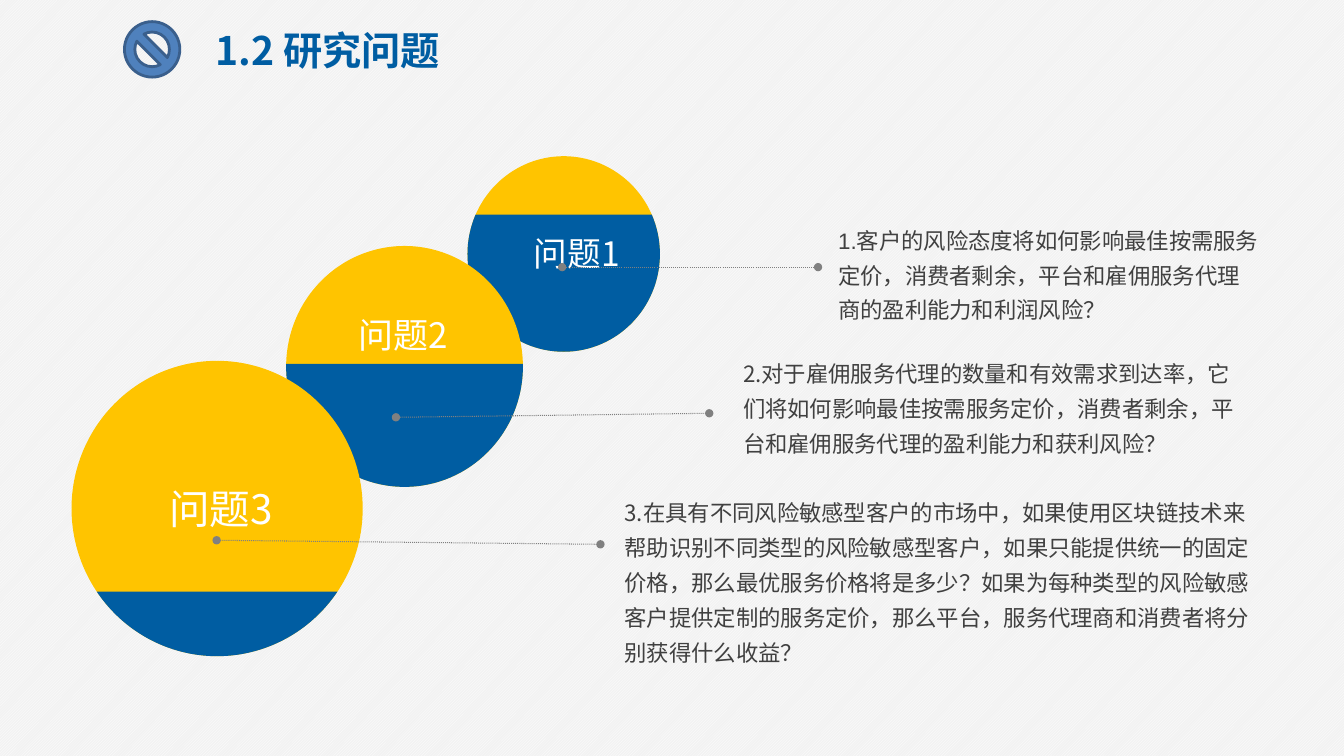
from itertools import pairwise
from math import asin, cos, pi, sin, tan

from lxml.etree import SubElement
from pptx import Presentation
from pptx.dml.color import RGBColor
from pptx.enum.dml import MSO_LINE, MSO_PATTERN
from pptx.enum.shapes import MSO_CONNECTOR, MSO_SHAPE
from pptx.enum.text import MSO_ANCHOR, PP_ALIGN
from pptx.oxml.ns import qn
from pptx.util import Inches, Pt

# The slide is a grid of 133.4 columns by 75 rows of square cells.
CELL = Inches(0.1)
COLUMNS, ROWS = 133.4, 75
YELLOW, BLUE, WHITE, GREY, INK = "FFC400", "005DA2", "FFFFFF", "808080", "404040"
CJK = "Noto Sans CJK SC"


def color(hex_code):
    return RGBColor.from_string(hex_code)


def add_text(area, text, size, hex_code, font=CJK, bold=False, spacing=None,
             align=PP_ALIGN.LEFT, anchor=MSO_ANCHOR.TOP, inset=1.1):
    """Put one wrapped paragraph in an area given in grid cells."""
    frame = slide.shapes.add_textbox(*(int(n * CELL) for n in area)).text_frame
    frame.word_wrap = True
    frame.vertical_anchor = anchor
    frame.margin_left = frame.margin_right = int(inset * CELL)
    paragraph = frame.paragraphs[0]
    paragraph.alignment = align
    paragraph.line_spacing = spacing
    run = paragraph.add_run()
    run.text = text
    run.font.size = Pt(size)
    run.font.bold = bold
    run.font.name = font
    run.font.color.rgb = color(hex_code)
    SubElement(run.font._element, qn("a:ea")).set("typeface", CJK)


presentation = Presentation()
presentation.slide_width = int(COLUMNS * CELL)
presentation.slide_height = ROWS * CELL
slide = presentation.slides.add_slide(presentation.slide_layouts[6])

backdrop = slide.background.fill
backdrop.patterned()
backdrop.pattern = MSO_PATTERN.LIGHT_UPWARD_DIAGONAL
backdrop.fore_color.rgb = color(WHITE)
backdrop.back_color.rgb = color("F2F2F2")

# Circles: left, top, width, height, and the row where the blue part begins
circles = [
    (46.4, 15.5, 19.1, 19.4, 21.3),
    (28.4, 24.4, 23.5, 23.9, 36.1),
    (7.1, 35.8, 28.9, 29.3, 58.7),
]
for circle in circles:
    left, top, width, height, waterline = (int(n * CELL) for n in circle)
    disc = slide.shapes.add_shape(MSO_SHAPE.OVAL, left, top, width, height)
    radius_x, radius_y = width / 2, height / 2
    center_x, center_y = left + radius_x, top + radius_y
    start = asin((waterline - center_y) / radius_y)
    breaks = [start, pi / 2, pi - start]
    if start < 0:
        breaks = [start, 0, pi / 2, pi, pi - start]

    # Each arc is a Bezier curve: two handles on the tangents, then its end
    curve_points = []
    for begin, end in pairwise(breaks):
        pull = 4 / 3 * tan((end - begin) / 4)
        curve_points += [
            (cos(begin) - pull * sin(begin), sin(begin) + pull * cos(begin)),
            (cos(end) + pull * sin(end), sin(end) - pull * cos(end)),
            (cos(end), sin(end)),
        ]
    outline = slide.shapes.build_freeform(center_x + radius_x * cos(start), waterline)
    outline.add_line_segments(
        [(center_x + radius_x * x, center_y + radius_y * y) for x, y in curve_points],
        close=True)
    water = outline.convert_to_shape()
    steps = list(water._element.iter(qn("a:lnTo")))
    for first, second, third in zip(steps[::3], steps[1::3], steps[2::3]):
        first.tag = qn("a:cubicBezTo")
        for step in (second, third):
            first.append(step[0])
            step.getparent().remove(step)

    for part, hex_code in ((disc, YELLOW), (water, BLUE)):
        part.shadow.inherit = False
        part.fill.solid()
        part.fill.fore_color.rgb = color(hex_code)
        part.line.fill.background()

labels = [
    ("问题3", 29, (15.7, 47.5, 12.7, 5.9)),
    ("问题2", 25, (34.5, 30.6, 11.2, 5.2)),
    ("问题1", 24, (51.9, 22.6, 10.8, 5.1)),
]
for label, size, area in labels:
    add_text(area, label, size, WHITE, anchor=MSO_ANCHOR.MIDDLE)

leaders = [
    (55.8, 26.5, 81.2, 26.5),
    (39.3, 41.4, 70.4, 41),
    (21.5, 53.6, 59.6, 54),
]
for ends in leaders:
    leader = slide.shapes.add_connector(
        MSO_CONNECTOR.STRAIGHT, *(int(n * CELL) for n in ends))
    leader.line.color.rgb = color(GREY)
    leader.line.width = Pt(0.75)
    leader.line.dash_style = MSO_LINE.ROUND_DOT
    stroke = leader.line._get_or_add_ln()
    for end in ("a:headEnd", "a:tailEnd"):
        SubElement(stroke, qn(end)).set("type", "oval")
    SubElement(leader._element.spPr, qn("a:effectLst"))

questions = [
    ("3.在具有不同风险敏感型客户的市场中，如果使用区块链技术来帮助识别不同类型的风险敏感型客户，"
     "如果只能提供统一的固定价格，那么最优服务价格将是多少？如果为每种类型的风险敏感客户提供定制的"
     "服务定价，那么平台，服务代理商和消费者将分别获得什么收益？", CJK, (60.9, 48.25, 65.4, 18.5)),
    ("2.对于雇佣服务代理的数量和有效需求到达率，它们将如何影响最佳按需服务定价，消费者剩余，"
     "平台和雇佣服务代理的盈利能力和获利风险？", CJK, (72.65, 34.4, 52.1, 11.5)),
    ("1.客户的风险态度将如何影响最佳按需服务定价，消费者剩余，平台和雇佣服务代理商的盈利能力和"
     "利润风险？", "Arial", (82.1, 21.2, 44, 11.5)),
]
for question, font, area in questions:
    add_text(area, question, 16, INK, font=font, spacing=1.3)

add_text((14.9, 2.1, 35.2, 5.7), "1.2 研究问题", 28, BLUE, bold=True,
         align=PP_ALIGN.CENTER, inset=1)

badge = slide.shapes.add_shape(
    MSO_SHAPE.NO_SYMBOL, *(int(n * CELL) for n in (12.35, 2.15, 5.5, 5.5)))
badge.shadow.inherit = False
badge.fill.solid()
badge.fill.fore_color.rgb = color("4F81BD")
badge.line.color.rgb = color("3A5F8C")
badge.line.width = Pt(2)

presentation.save("out.pptx")
